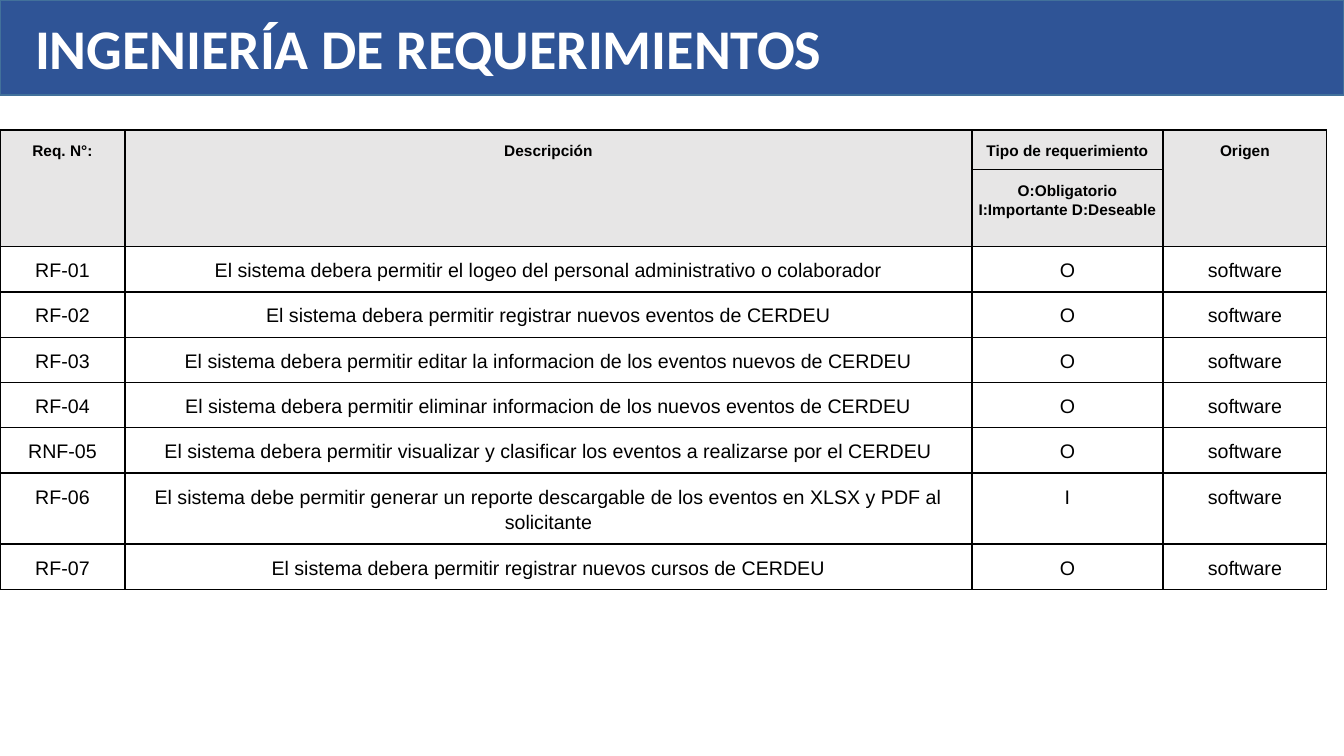
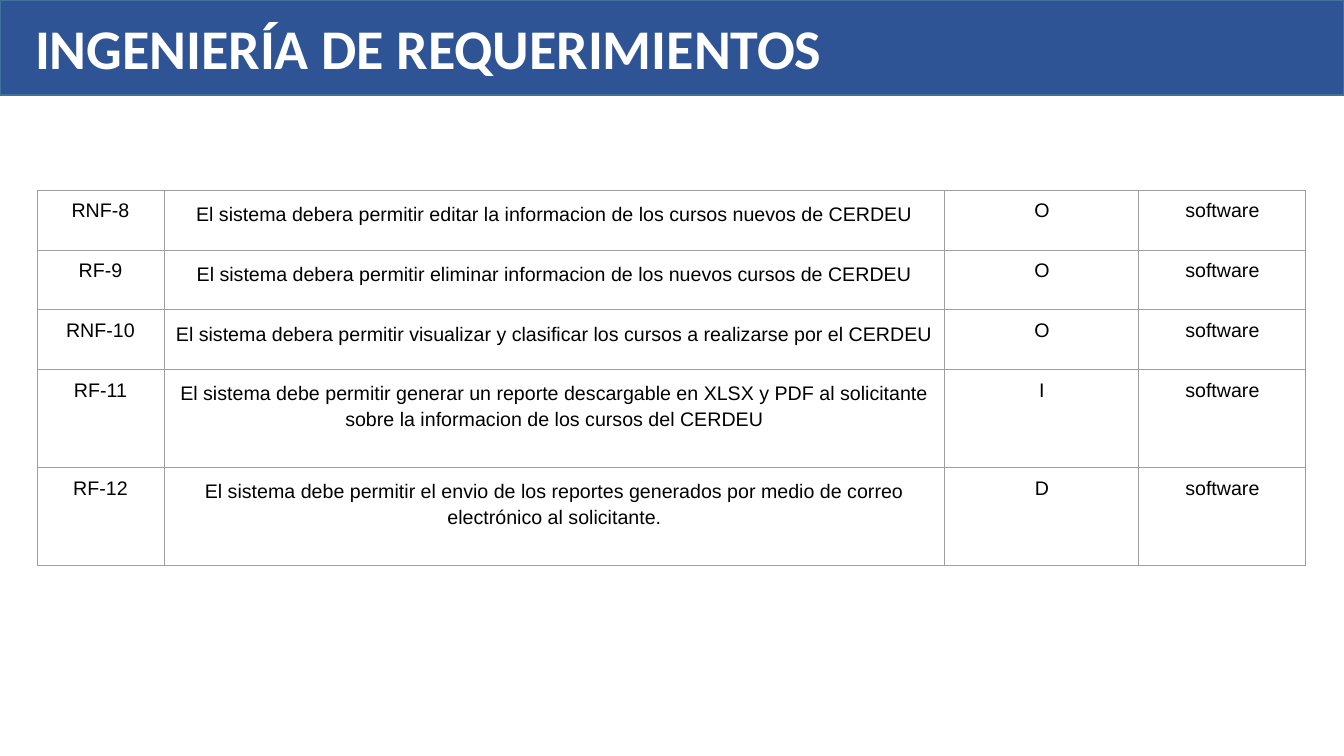
from lxml import etree
from pptx import Presentation
from pptx.dml.color import RGBColor
from pptx.enum.shapes import MSO_SHAPE
from pptx.enum.text import MSO_ANCHOR, PP_ALIGN
from pptx.oxml.ns import qn
from pptx.util import Emu, Pt

RECTANGLE = MSO_SHAPE.RECTANGLE
MIDDLE = MSO_ANCHOR.MIDDLE
TOP = MSO_ANCHOR.TOP
LEFT = PP_ALIGN.LEFT
CENTER = PP_ALIGN.CENTER

BLUE = RGBColor(0x2F, 0x54, 0x96)
BLUE_EDGE = RGBColor(0x42, 0x71, 0x9B)
WHITE = RGBColor(0xFF, 0xFF, 0xFF)
BLACK = RGBColor(0, 0, 0)
HEADER_GRAY = RGBColor(0xE7, 0xE6, 0xE6)
GRID_GRAY = RGBColor(0x9E, 0x9E, 0x9E)

PAGE_WIDTH, PAGE_HEIGHT = 1344, 756
EMU_PER_PX = 914400 / 100.8
TITLE = "INGENIERÍA DE REQUERIMIENTOS"
ORIGIN = "software"

HEADER = [
    ["Req. N°:", "Descripción", "Tipo de requerimiento", "Origen"],
    ["", "", "O:Obligatorio I:Importante D:Deseable", ""],
]
EVENT_REQUIREMENTS = [
    ("RF-01", "El sistema debera permitir el logeo del personal administrativo o colaborador", "O"),
    ("RF-02", "El sistema debera permitir registrar nuevos eventos de CERDEU", "O"),
    ("RF-03", "El sistema debera permitir editar la informacion de los eventos nuevos de CERDEU", "O"),
    ("RF-04", "El sistema debera permitir eliminar informacion de los nuevos eventos de CERDEU", "O"),
    ("RNF-05", "El sistema debera permitir visualizar y clasificar los eventos a realizarse por el CERDEU", "O"),
    ("RF-06", "El sistema debe permitir generar un reporte descargable de los eventos en XLSX y PDF al solicitante", "I"),
    ("RF-07", "El sistema debera permitir registrar nuevos cursos de CERDEU", "O"),
]
COURSE_REQUIREMENTS = [
    ("RNF-8", "El sistema debera permitir editar la informacion de los cursos nuevos de CERDEU", "O"),
    ("RF-9", "El sistema debera permitir eliminar informacion de los nuevos cursos de CERDEU", "O"),
    ("RNF-10", "El sistema debera permitir visualizar y clasificar los cursos a realizarse por el CERDEU", "O"),
    ("RF-11", "El sistema debe permitir generar un reporte descargable en XLSX y PDF al solicitante sobre la informacion de los cursos del CERDEU", "I"),
    ("RF-12", "El sistema debe permitir el envio de los reportes generados por medio de correo electrónico al solicitante.", "D"),
]


def px(length):
    return Emu(round(length * EMU_PER_PX))


class RequirementsDeck:
    title_font = "Calibri"
    table_font = "Arial"

    def __init__(self):
        self.deck = Presentation()
        self.deck.slide_width = px(PAGE_WIDTH)
        self.deck.slide_height = px(PAGE_HEIGHT)
        self.page = None

    def add_page(self):
        self.page = self.deck.slides.add_slide(self.deck.slide_layouts[6])
        self.title_band()

    def add_text(self, frame, text, font, size, color, bold=False, align=CENTER, spaced=False):
        para = frame.paragraphs[0]
        para.alignment = align
        if spaced:
            para.line_spacing = 1.15
            para.space_before = Pt(12)
        span = para.add_run()
        span.text = text
        span.font.name = font
        span.font.size = Pt(size)
        span.font.bold = bold
        span.font.color.rgb = color

    def title_band(self):
        band = self.page.shapes.add_shape(RECTANGLE, 0, 0, px(PAGE_WIDTH), px(95))
        band.shadow.inherit = False
        band.fill.solid()
        band.fill.fore_color.rgb = BLUE
        band.line.color.rgb = BLUE_EDGE
        band.line.width = Pt(1)
        frame = band.text_frame
        frame.word_wrap = True
        frame.vertical_anchor = MIDDLE
        frame.margin_left = px(35)
        self.add_text(frame, TITLE, self.title_font, 40, WHITE, bold=True, align=LEFT)

    def table(self, left, top, widths, heights):
        frame = self.page.shapes.add_table(
            len(heights), len(widths), px(left), px(top), px(sum(widths)), px(sum(heights)))
        grid = frame.table
        grid.first_row = False
        grid.horz_banding = False
        for column, width in zip(grid.columns, widths):
            column.width = px(width)
        for row, height in zip(grid.rows, heights):
            row.height = px(height)
        return grid

    def cell(self, cell, text, side_margin, edge, edge_width, fill=None, size=14, bold=False, spaced=True):
        cell.margin_left = cell.margin_right = px(side_margin)
        cell.margin_top = cell.margin_bottom = px(10)
        cell.vertical_anchor = TOP
        if fill is None:
            cell.fill.background()
        else:
            cell.fill.solid()
            cell.fill.fore_color.rgb = fill
        self.borders(cell, edge, edge_width)
        if text:
            self.add_text(cell.text_frame, text, self.table_font, size, BLACK, bold, spaced=spaced)

    def borders(self, cell, color, width):
        properties = cell._tc.get_or_add_tcPr()
        for position, side in enumerate(("a:lnL", "a:lnR", "a:lnT", "a:lnB")):
            line = etree.Element(qn(side), w=str(Pt(width)))
            solid = etree.SubElement(line, qn("a:solidFill"))
            etree.SubElement(solid, qn("a:srgbClr"), val=str(color))
            properties.insert(position, line)

    def save(self):
        self.deck.save("out.pptx")


def event_page(builder):
    builder.add_page()
    grid = builder.table(0, 130, [125, 847, 191, 164], [39, 77, 45, 45, 45, 45, 45, 71, 45])
    for row, texts in enumerate(HEADER):
        for column, text in enumerate(texts):
            builder.cell(grid.cell(row, column), text, 5, BLACK, 1, HEADER_GRAY, 11, True)
    for column in (0, 1, 3):
        grid.cell(0, column).merge(grid.cell(1, column))
    for row, requirement in enumerate(EVENT_REQUIREMENTS, len(HEADER)):
        for column, text in enumerate((*requirement, ORIGIN)):
            builder.cell(grid.cell(row, column), text, 5, BLACK, 1)


def course_page(builder):
    builder.add_page()
    grid = builder.table(37, 190, [127, 781, 194, 167], [60, 60, 60, 98, 98])
    for row, requirement in enumerate(COURSE_REQUIREMENTS):
        for column, text in enumerate((*requirement, ORIGIN)):
            builder.cell(grid.cell(row, column), text, 10, GRID_GRAY, 0.75, spaced=column == 1)


def main():
    builder = RequirementsDeck()
    event_page(builder)
    course_page(builder)
    builder.save()


if __name__ == "__main__":
    main()
